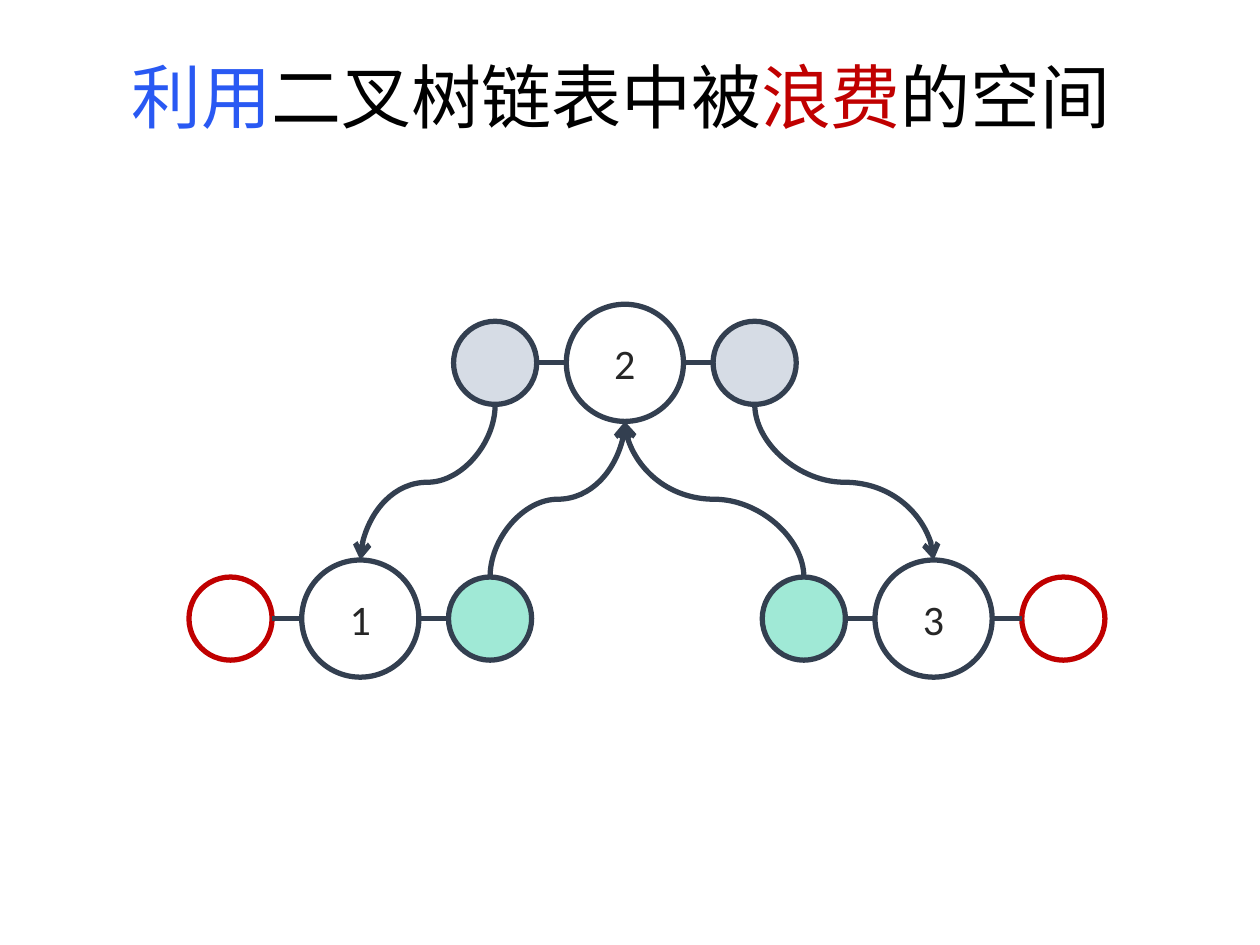
from math import copysign

from lxml.etree import SubElement
from pptx import Presentation
from pptx.dml.color import RGBColor
from pptx.enum.shapes import MSO_CONNECTOR, MSO_SHAPE
from pptx.enum.text import MSO_ANCHOR, PP_ALIGN
from pptx.oxml.ns import qn
from pptx.util import Inches, Pt

COLORS = {
    "blue": "2959F3", "black": "000000", "red": "C00000", "white": "FFFFFF",
    "slate": "333F50", "gray": "D6DCE5", "mint": "A0E9D6", "digit": "262626",
}
RGB = {name: RGBColor.from_string(value) for name, value in COLORS.items()}

deck = Presentation()
deck.slide_width, deck.slide_height = Inches(10), Inches(7.5)
page = deck.slides.add_slide(deck.slide_layouts[6])
unit = deck.slide_width / 100


def add_circle(x, y, radius, fill, line):
    corner = [round((value - radius) * unit) for value in (x, y)]
    size = round(2 * radius * unit)
    circle = page.shapes.add_shape(MSO_SHAPE.OVAL, *corner, size, size)
    circle.shadow.inherit = False
    circle.fill.solid()
    circle.fill.fore_color.rgb = RGB[fill]
    circle.line.color.rgb = RGB[line]
    circle.line.width = Pt(3)
    return circle


def add_link(kind, *ends):
    link = page.shapes.add_connector(kind, *[round(value * unit) for value in ends])
    link.line.color.rgb = RGB["slate"]
    link.line.width = Pt(3)
    SubElement(link._element.spPr, qn("a:effectLst"))
    return link


title = page.shapes.add_textbox(*[round(value * unit) for value in (4.3, 4.5, 90, 10.5)])
title.text_frame.word_wrap = True
heading = title.text_frame.paragraphs[0]
heading.alignment = PP_ALIGN.CENTER
heading.line_spacing = 0.9
heading.font.size = Pt(40)
heading.font.name = "Noto Sans CJK JP"
for text, color in [("利用", "blue"), ("二叉树链表中被", "black"),
                    ("浪费", "red"), ("的空间", "black")]:
    span = heading.add_run()
    span.text = text
    span.font.color.rgb = RGB[color]
    SubElement(span.font._element, qn("a:ea"), typeface="Noto Sans CJK JP")

node_radius, pointer_radius, reach = 4.65, 3.3, 10.3
nodes = {"2": (49.6, 28.8), "1": (28.6, 49.1), "3": (74.1, 49.1)}
pointers = {
    "2": [("gray", "slate"), ("gray", "slate")],
    "1": [("white", "red"), ("mint", "slate")],
    "3": [("mint", "slate"), ("white", "red")],
}
for label, (x, y) in nodes.items():
    node = add_circle(x, y, node_radius, "white", "slate")
    node.text_frame.vertical_anchor = MSO_ANCHOR.MIDDLE
    paragraph = node.text_frame.paragraphs[0]
    paragraph.text = label
    paragraph.alignment = PP_ALIGN.CENTER
    paragraph.font.size = Pt(24)
    paragraph.font.name = "Calibri"
    paragraph.font.color.rgb = RGB["digit"]
    for side, (fill, line) in zip((-1, 1), pointers[label]):
        add_circle(x + side * reach, y, pointer_radius, fill, line)
        add_link(MSO_CONNECTOR.STRAIGHT, x + side * node_radius, y,
                 x + side * (reach - pointer_radius), y)

for source, side, target in [("2", -1, "1"), ("2", 1, "3"), ("1", 1, "2"), ("3", -1, "2")]:
    (source_x, source_y), (target_x, target_y) = nodes[source], nodes[target]
    down = copysign(1, target_y - source_y)
    start_x, start_y = source_x + side * reach, source_y + down * pointer_radius
    end_x, end_y = target_x, target_y - down * node_radius
    across = copysign(1, end_x - start_x)
    middle_x, middle_y = (start_x + end_x) / 2, (start_y + end_y) / 2
    half_width = across * abs(end_y - start_y) / 2
    half_height = down * abs(end_x - start_x) / 2
    arrow = add_link(MSO_CONNECTOR.CURVE, middle_x + half_width, middle_y - half_height,
                     middle_x - half_width, middle_y + half_height)
    turn = 90 if across * down < 0 else 270
    outline = arrow._element.spPr
    outline.find(qn("a:xfrm")).set("rot", str(turn * 60000))
    SubElement(outline.find(qn("a:ln")), qn("a:tailEnd"), type="arrow")

deck.save("out.pptx")
